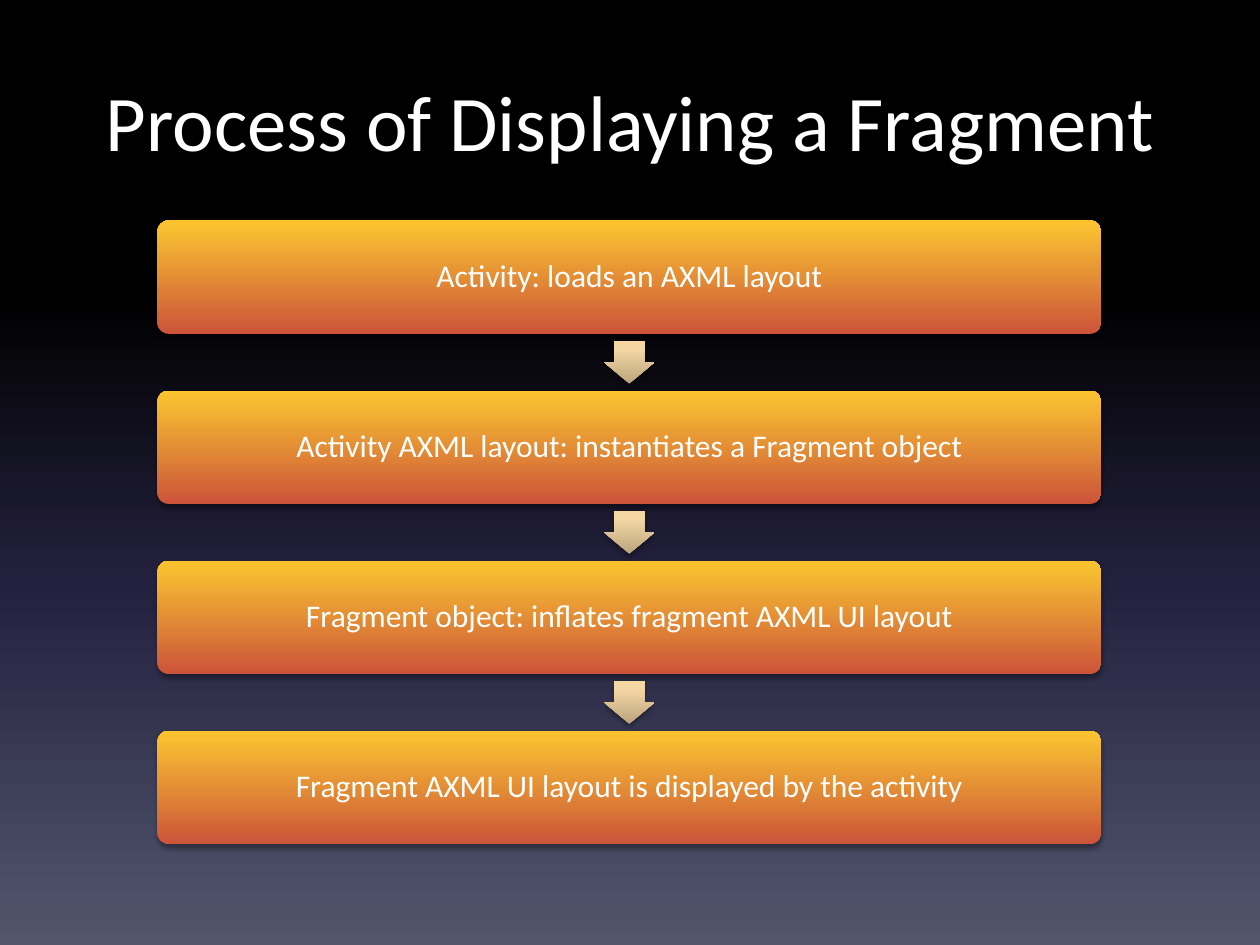
from pptx import Presentation
from pptx.dml.color import RGBColor
from pptx.enum.shapes import MSO_SHAPE as SHAPE
from pptx.enum.text import MSO_ANCHOR as ANCHOR, PP_ALIGN as ALIGN
from pptx.oxml import parse_xml
from pptx.oxml.ns import nsdecls, qn
from pptx.util import Inches, Pt

WHITE = RGBColor(0xFF, 0xFF, 0xFF)
BLACK = RGBColor(0x00, 0x00, 0x00)
NAVY = RGBColor(0x24, 0x21, 0x3E)
SLATE = RGBColor(0x51, 0x56, 0x6D)
RUST = RGBColor(0xCC, 0x54, 0x39)
AMBER = RGBColor(0xF8, 0xC0, 0x31)
GOLD = RGBColor(0xFD, 0xC3, 0x2D)
KHAKI = RGBColor(0xBB, 0xA5, 0x7D)
SAND = RGBColor(0xF3, 0xD6, 0xA3)
CREAM = RGBColor(0xF6, 0xD7, 0xA2)

BACKDROP = [(0, BLACK), (31, BLACK), (62, NAVY), (100, SLATE)]
STEP_FILL = [(0, RUST), (94, AMBER), (100, GOLD)]
ARROW_FILL = [(0, KHAKI), (80, SAND), (100, CREAM)]

FONT = "Calibri"
STEPS = [
    "Activity: loads an AXML layout",
    "Activity AXML layout: instantiates a Fragment object",
    "Fragment object: inflates fragment AXML UI layout",
    "Fragment AXML UI layout is displayed by the activity",
]


def set_gradient(fill, parent, stops, angle):
    """Fill the parent properties element with a linear gradient."""
    fill.solid()
    gs = "".join(
        f'<a:gs pos="{pos * 1000}"><a:srgbClr val="{color}"/></a:gs>'
        for pos, color in stops
    )
    grad = parse_xml(
        f'<a:gradFill {nsdecls("a")} rotWithShape="1"><a:gsLst>{gs}</a:gsLst>'
        f'<a:lin ang="{angle * 60000}" scaled="0"/></a:gradFill>'
    )
    parent.replace(parent.find(qn("a:solidFill")), grad)


def add_shadow(sp):
    """Give a shape a soft shadow straight below it."""
    sp.shadow.inherit = False
    sp.element.spPr.find(qn("a:effectLst")).append(parse_xml(
        f'<a:outerShdw {nsdecls("a")} blurRad="{Pt(3.1)}" dist="{Pt(1.8)}" '
        f'dir="5400000" rotWithShape="0"><a:srgbClr val="{BLACK}">'
        '<a:alpha val="35000"/></a:srgbClr></a:outerShdw>'
    ))


def add_block(s, kind, box, stops):
    """Add a borderless gradient shape with a shadow."""
    sp = s.shapes.add_shape(kind, *box)
    set_gradient(sp.fill, sp.element.spPr, stops, 270)
    sp.line.fill.background()
    add_shadow(sp)
    return sp


def set_text(tf, text, size):
    """Write one centred white line."""
    tf.word_wrap = True
    tf.text = text
    p = tf.paragraphs[0]
    p.alignment = ALIGN.CENTER
    p.font.name = FONT
    p.font.size = Pt(size)
    p.font.color.rgb = WHITE
    return p


def place_title(s, left, top, width, height):
    """Place and format the title placeholder."""
    sp = s.shapes.title
    sp.left, sp.top, sp.width, sp.height = left, top, width, height
    tf = sp.text_frame
    set_text(tf, "Process of Displaying a Fragment", 45)
    tf.vertical_anchor = ANCHOR.TOP
    tf.margin_top = Inches(0.08)


def add_step(s, text, left, top, width, height):
    """Add one rounded process step."""
    sp = add_block(s, SHAPE.ROUNDED_RECTANGLE, (left, top, width, height), STEP_FILL)
    sp.adjustments[0] = 0.1
    tf = sp.text_frame
    tf.vertical_anchor = ANCHOR.MIDDLE
    tf.margin_left = tf.margin_right = Inches(0.1)
    set_text(tf, text, 18).line_spacing = 0.9


def add_arrow(s, left, top, width, height):
    """Add a down arrow centred in the gap between two steps."""
    w, h = Inches(0.4), Inches(0.34)
    box = (left + (width - w) // 2, top + (height - h) // 2, w, h)
    sp = add_block(s, SHAPE.DOWN_ARROW, box, ARROW_FILL)
    sp.adjustments[0] = 0.6
    sp.adjustments[1] = 0.5


def add_process(s, left, top, width, height):
    """Stack the steps evenly in the box, with arrows between them."""
    step_h = Inches(0.9)
    pitch = (height - step_h) // (len(STEPS) - 1)
    for i, text in enumerate(STEPS):
        y = top + i * pitch
        if i:
            gap = pitch - step_h
            add_arrow(s, left, y - gap, width, gap)
        add_step(s, text, left, y, width, step_h)


def main():
    """Build and save the slide."""
    prs = Presentation()
    prs.slide_width, prs.slide_height = Inches(10), Inches(7.5)
    s = prs.slides.add_slide(prs.slide_layouts[5])
    fill = s.background.fill
    fill.solid()
    set_gradient(fill, s.element.find(".//" + qn("p:bgPr")), BACKDROP, 90)
    place_title(s, Inches(0.5), Inches(0.5), Inches(9), Inches(1.25))
    add_process(s, Inches(1.25), Inches(1.75), Inches(7.49), Inches(4.95))
    prs.save("out.pptx")


if __name__ == "__main__":
    main()
